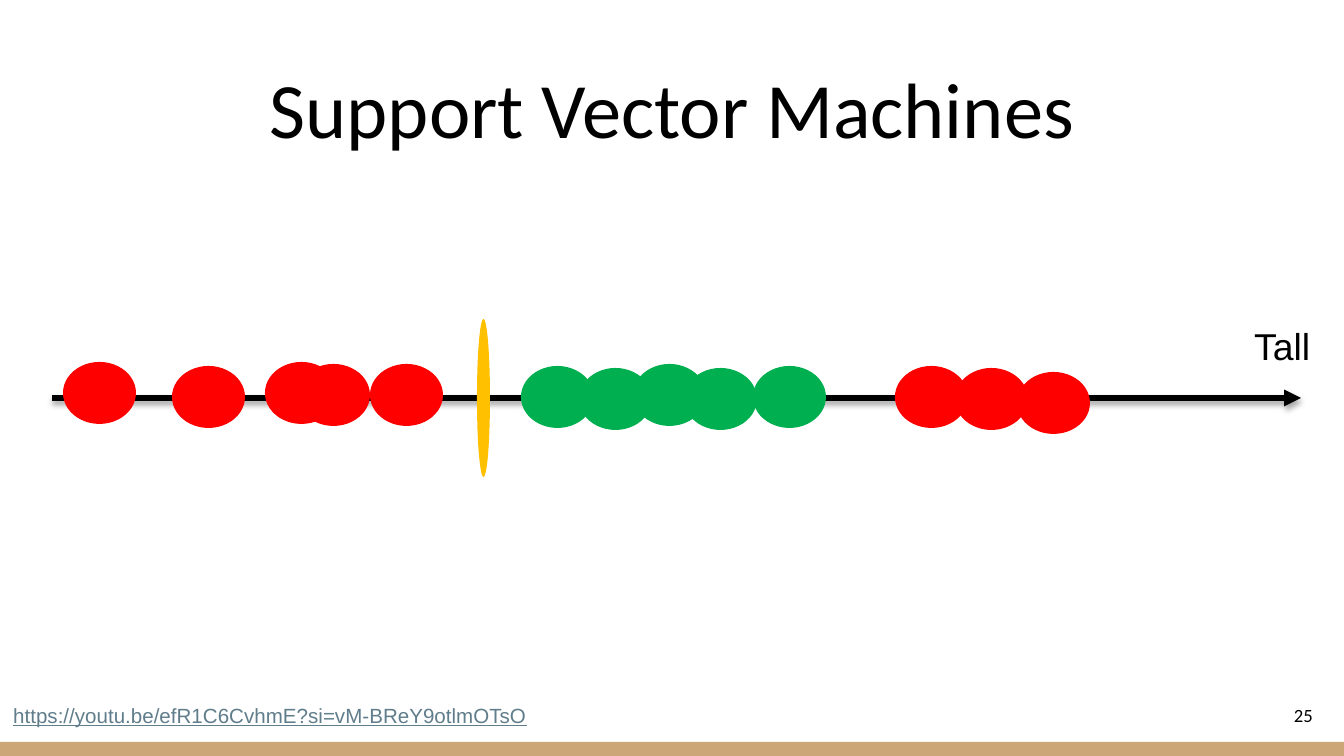
import pptx
import pptx.util
import pptx.dml.color
import pptx.enum.shapes
import pptx.enum.text
import pptx.oxml
import pptx.oxml.ns

SCALE = 914400 / 134.4
ALIGN = pptx.enum.text.PP_ALIGN
ANCHOR = pptx.enum.text.MSO_ANCHOR
SHAPE = pptx.enum.shapes.MSO_SHAPE


def px(*nums):
    return [pptx.util.Emu(round(num * SCALE)) for num in nums]


def color(code):
    return pptx.dml.color.RGBColor.from_string(code)


class Deck:
    black = "000000"
    red = "FF0000"
    green = "00B050"
    gold = "FFC000"
    tan = "CCA677"
    slate = "607D8B"

    def __init__(self, wide, high):
        self.file = pptx.Presentation()
        self.file.slide_width, self.file.slide_height = px(wide, high)
        self.slide = self.file.slides.add_slide(self.file.slide_layouts[5])

    def fill_text(self, shape, text, size, font, ink, align, anchor):
        frame = shape.text_frame
        frame.word_wrap = True
        frame.auto_size = pptx.enum.text.MSO_AUTO_SIZE.NONE
        frame.vertical_anchor = anchor
        frame.margin_left = frame.margin_right = pptx.util.Inches(0.1)
        para = frame.paragraphs[0]
        para.text = text
        para.alignment = align
        para.font.size = pptx.util.Pt(size)
        para.font.name = font
        para.font.color.rgb = color(ink)
        return para

    def title(self, box, text):
        shape = self.slide.shapes.title
        shape.left, shape.top, shape.width, shape.height = px(*box)
        self.fill_text(shape, text, 42, "Calibri", self.black, ALIGN.CENTER, ANCHOR.BOTTOM)
        frame = shape.text_frame
        frame.margin_top = frame.margin_bottom = pptx.util.Inches(0.1)

    def label(self, box, text, size, font="Arial", ink=black,
              align=ALIGN.LEFT, anchor=ANCHOR.TOP):
        shape = self.slide.shapes.add_textbox(*px(*box))
        return self.fill_text(shape, text, size, font, ink, align, anchor)

    def solid(self, kind, box, fill):
        shape = self.slide.shapes.add_shape(kind, *px(*box))
        shape.shadow.inherit = False
        shape.fill.solid()
        shape.fill.fore_color.rgb = color(fill)
        shape.line.fill.background()

    def arrow(self, ends, width):
        kind = pptx.enum.shapes.MSO_CONNECTOR.STRAIGHT
        axis = self.slide.shapes.add_connector(kind, *px(*ends))
        axis.line.width = pptx.util.Pt(width)
        axis.line.color.rgb = color(self.black)
        space = pptx.oxml.ns.nsdecls("a")
        line = axis._element.spPr.find(pptx.oxml.ns.qn("a:ln"))
        line.append(pptx.oxml.parse_xml(f'<a:tailEnd {space} type="triangle"/>'))
        axis._element.spPr.append(pptx.oxml.parse_xml(
            f'<a:effectLst {space}><a:outerShdw blurRad="40000" dist="23000" '
            'dir="5400000" rotWithShape="0"><a:srgbClr val="000000">'
            '<a:alpha val="35000"/></a:srgbClr></a:outerShdw></a:effectLst>'))

    def dots(self, spots, fill):
        for left, top in spots:
            self.solid(SHAPE.OVAL, (left, top, 73, 62), fill)


def main():
    deck = Deck(1344, 756)
    deck.solid(SHAPE.RECTANGLE, (0, 742, 1344, 14), deck.tan)
    deck.title((253, 46, 838, 122), "Support Vector Machines")
    deck.arrow((52, 398, 1301, 398), 3)
    deck.dots([(172, 366), (1017, 372), (955, 368), (265, 362), (63, 362),
               (297, 364), (370, 364), (895, 366)], deck.red)
    deck.dots([(633, 364), (579, 368), (684, 368), (753, 366), (521, 366)], deck.green)
    deck.solid(SHAPE.OVAL, (477, 319, 13, 158), deck.gold)
    deck.label((1241, 317, 165, 59), "Tall", 20)
    link = deck.label((0, 696, 700, 39),
                      "https://youtu.be/efR1C6CvhmE?si=vM-BReY9otlmOTsO", 11, ink=deck.slate)
    link.font.underline = True
    deck.label((1246, 686, 80, 58), "25", 10, "Calibri",
               align=ALIGN.RIGHT, anchor=ANCHOR.MIDDLE)
    deck.file.save("out.pptx")


if __name__ == "__main__":
    main()
